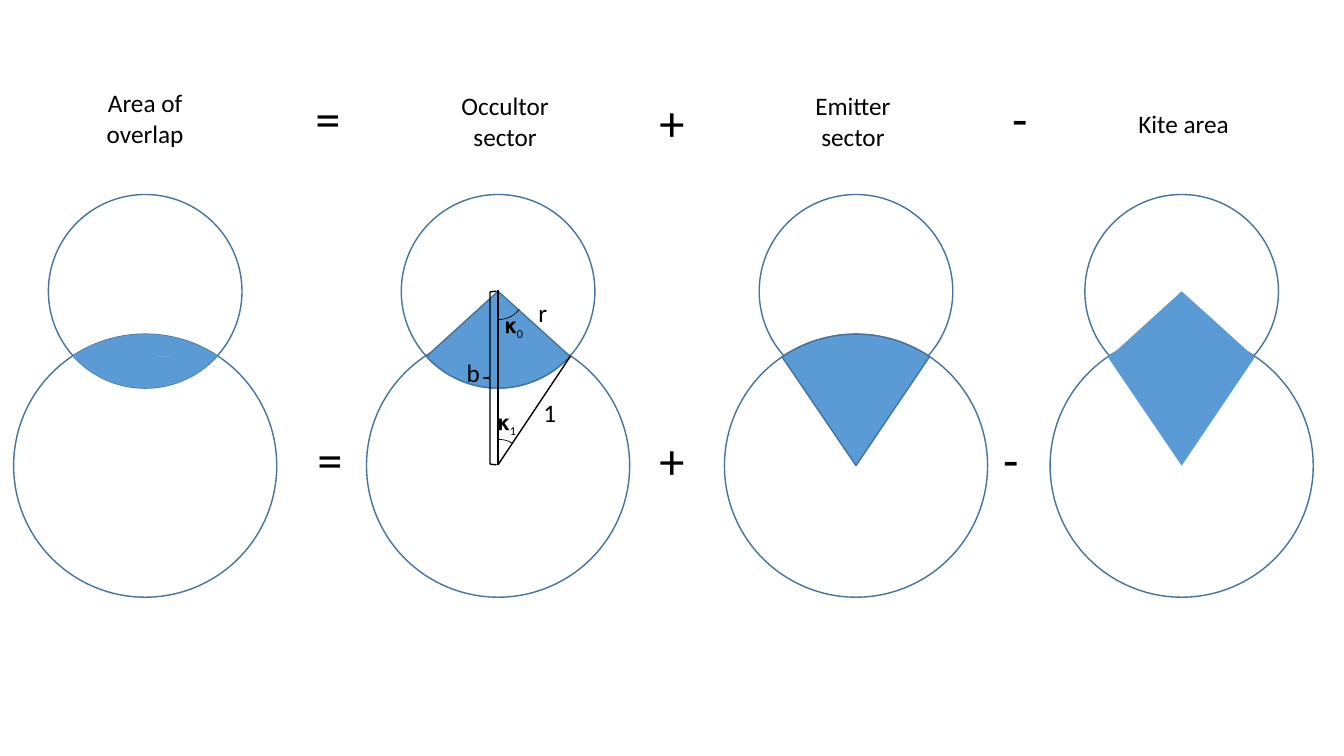
from lxml import etree
from pptx import Presentation
from pptx.dml.color import RGBColor
from pptx.enum.shapes import MSO_CONNECTOR, MSO_SHAPE
from pptx.enum.text import MSO_AUTO_SIZE, PP_ALIGN
from pptx.oxml.ns import qn
from pptx.util import Inches, Pt

CIRCLE, CHORD, PIE = MSO_SHAPE.OVAL, MSO_SHAPE.CHORD, MSO_SHAPE.PIE
ARC, BRACE = MSO_SHAPE.ARC, MSO_SHAPE.LEFT_BRACE
STRAIGHT = MSO_CONNECTOR.STRAIGHT
LEFT, CENTER = PP_ALIGN.LEFT, PP_ALIGN.CENTER
FIT = MSO_AUTO_SIZE.SHAPE_TO_FIT_TEXT

THEME = {
    "font": "Calibri",
    "ink": RGBColor(0x00, 0x00, 0x00),
    "area": RGBColor(0x5B, 0x9B, 0xD5),
    "outline": RGBColor(0x43, 0x73, 0x9E),
    "label": 18, "operator": 36, "angle": 15,
    "thick": 1, "thin": 0.5,
}
ANGLE_UNIT = 0.6  # adjustment value of one degree

prs = Presentation()
prs.slide_width, prs.slide_height = Inches(13.33), Inches(7.5)
slide = prs.slides.add_slide(prs.slide_layouts[6])


def add_figure(kind, x, y, width, height, fill=None, line=None, weight=THEME["thick"], angles=()):
    """Draw a preset shape centred on x, y; angles run clockwise in degrees."""
    figure = slide.shapes.add_shape(
        kind, Inches(x - width / 2), Inches(y - height / 2), Inches(width), Inches(height))
    figure.shadow.inherit = False
    for i, angle in enumerate(angles):
        figure.adjustments[i] = angle * ANGLE_UNIT
    if fill is None:
        figure.fill.background()
    else:
        figure.fill.solid()
        figure.fill.fore_color.rgb = fill
    if line is None:
        figure.line.fill.background()
    else:
        figure.line.color.rgb = line
        figure.line.width = Pt(weight)


def add_label(text, left, top, width, height, size, align=LEFT, subscript=None):
    label = slide.shapes.add_textbox(Inches(left), Inches(top), Inches(width), Inches(height))
    frame = label.text_frame
    frame.word_wrap, frame.auto_size = True, FIT
    frame.text = text
    if subscript:
        index = frame.paragraphs[0].add_run()
        index.text = subscript
        index._r.get_or_add_rPr().set("baseline", "-25000")
    for paragraph in frame.paragraphs:
        paragraph.alignment = align
        for run in paragraph.runs:
            run.font.name, run.font.size = THEME["font"], Pt(size)
            run.font.color.rgb = THEME["ink"]


# Circle geometry: centre height, diameter and the angles of the shaded part
OCCULTOR = (2.89, 1.92, (42.1, 137.7))
EMITTER = (4.62, 2.61, (235.8, 304))

# Each term: centre, title, title centre and top, shaded parts, outlined or not
TERMS = [
    (1.44, "Area of overlap", 1.44, 0.82, CHORD, (EMITTER, OCCULTOR), None),
    (4.94, "Occultor sector", 5.01, 0.85, PIE, (OCCULTOR,), THEME["outline"]),
    (8.49, "Emitter\nsector", 8.46, 0.85, PIE, (EMITTER,), THEME["outline"]),
    (11.72, "Kite area", 11.74, 1.03, PIE, (OCCULTOR, EMITTER), None),
]
TITLE_WIDTH = 1.66
for center, title, title_center, title_top, kind, parts, outline in TERMS:
    for y, diameter, _ in (OCCULTOR, EMITTER):
        add_figure(CIRCLE, center, y, diameter, diameter, line=THEME["outline"])
    for y, diameter, angles in parts:
        add_figure(kind, center, y, diameter, diameter, THEME["area"], outline, angles=angles)
    title_height = 0.47 if title == "Kite area" else 0.83
    add_label(title, title_center - TITLE_WIDTH / 2, title_top, TITLE_WIDTH, title_height,
              THEME["label"], CENTER)

# Operators between the titles and between the circles
for symbol, title_left, title_top, circle_left, circle_top in [
    ("=", 3.03, 0.82, 3.05, 4.2),
    ("+", 6.44, 0.85, 6.44, 4.21),
    ("-", 9.94, 0.82, 9.85, 4.2),
]:
    add_label(symbol, title_left, title_top, 0.55, 0.83, THEME["operator"])
    add_label(symbol, circle_left, circle_top, 0.55, 0.83, THEME["operator"])

# Triangle sides from the emitter centre in the occultor term
APEX = (4.94, 4.61)
for end in [(5.66, 3.53), (4.94, 2.88)]:
    side = slide.shapes.add_connector(STRAIGHT, *map(Inches, APEX + end))
    side.line.color.rgb = THEME["ink"]
    side.line.width = Pt(THEME["thick"])
    etree.SubElement(side._element.spPr, qn("a:effectLst"))

# Side lengths
for length, left, top, width in [("1", 5.29, 3.89, 0.41), ("r", 5.24, 2.9, 0.32),
                                 ("b", 4.53, 3.5, 0.37)]:
    add_label(length, left, top, width, 0.4, THEME["label"])

# Angles at both centres
for index, left, top, arc_y, angles in [("0", 4.91, 3.05, 2.92, (36.75, 90.96)),
                                        ("1", 4.84, 4.01, 4.61, (266.54, 300.83))]:
    add_label("𝛋", left, top, 0.52, 0.35, THEME["angle"], subscript=index)
    add_figure(ARC, 4.95, arc_y, 0.5, 0.5, line=THEME["ink"], weight=THEME["thin"], angles=angles)

# Brace along the distance between the centres
add_figure(BRACE, 4.86, 3.75, 0.13, 1.72, line=THEME["ink"])

prs.save("out.pptx")
